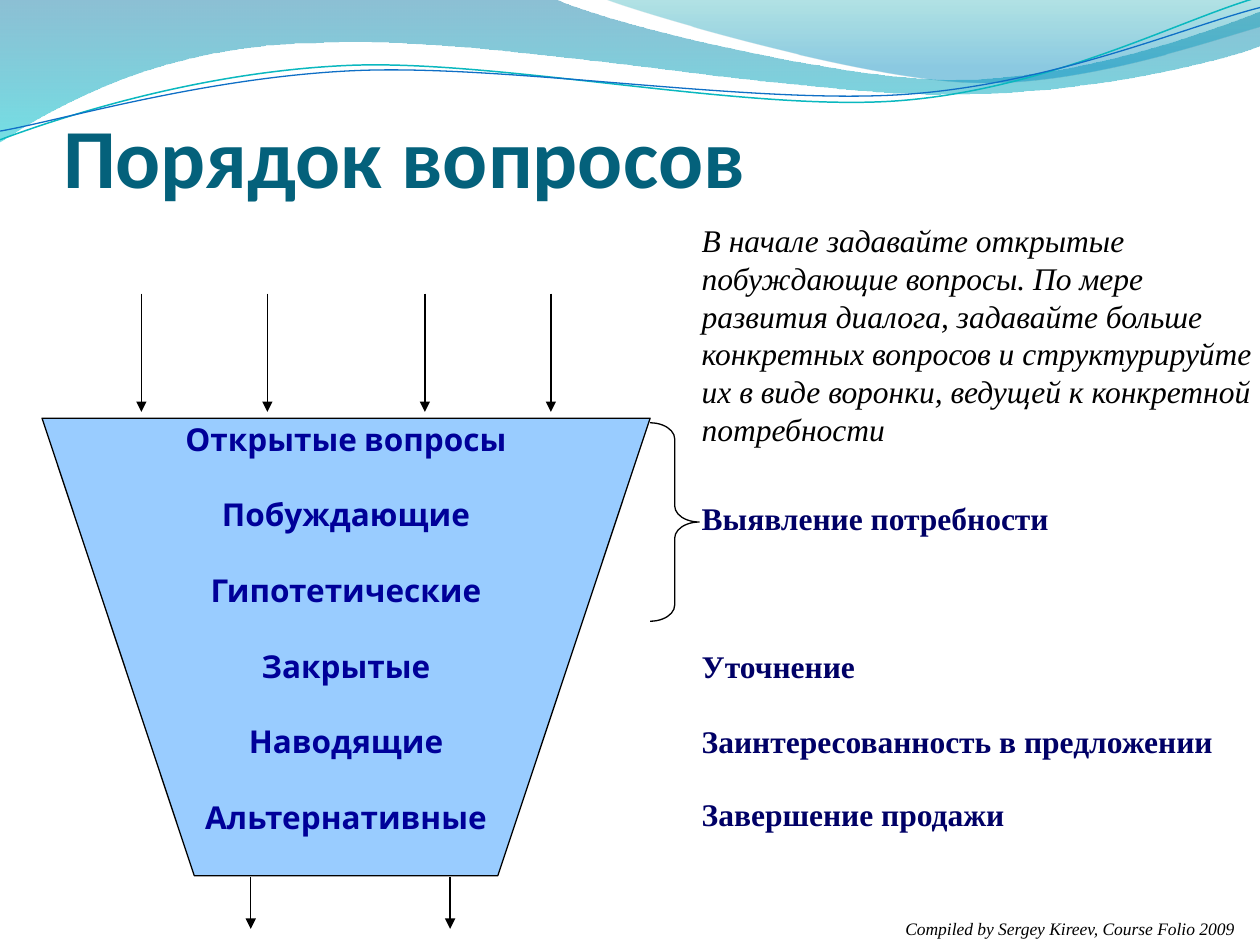
from lxml import etree
from pptx import Presentation
from pptx.dml.color import RGBColor
from pptx.enum.shapes import MSO_CONNECTOR, MSO_SHAPE
from pptx.enum.text import MSO_ANCHOR, MSO_AUTO_SIZE, PP_ALIGN
from pptx.oxml.ns import qn
from pptx.util import Pt

LINE = MSO_CONNECTOR.STRAIGHT
BRACE = MSO_SHAPE.RIGHT_BRACE
TOP, BOTTOM = MSO_ANCHOR.TOP, MSO_ANCHOR.BOTTOM
SERIF = "Times New Roman"
BLACK, NAVY = "000000", "000066"

# Content
TITLE = "Порядок вопросов"
STEPS = ["Открытые вопросы", "Побуждающие", "Гипотетические",
         "Закрытые", "Наводящие", "Альтернативные"]
INTRO = ("В начале задавайте открытые побуждающие вопросы. По мере развития "
         "диалога, задавайте больше конкретных вопросов и структурируйте их "
         "в виде воронки, ведущей к конкретной потребности")
CREDIT = "Compiled by Sergey Kireev, Course Folio 2009"
STAGES = [("Выявление потребности", 281.5), ("Уточнение", 366.3),
          ("Заинтересованность в предложении", 409),
          ("Завершение продажи", 450.7)]

# Waves: two numbers are a corner, six are a Bezier curve
BANDS = [
    ([(0, -0.7), (316.8, -0.7), (342.7, 12.2, 478.1, 45.4, 545.8, 45.4),
      (614.2, 45.4, 689.8, 18.7, 720, 6.5), (720.7, 25.9),
      (707.8, 31.7, 626.4, 54.7, 537.1, 54),
      (447.8, 54, 275, 20.2, 185, 24.5), (92.9, 25.2, 33.1, 59.8, -0.7, 81.4)],
     [(0, "0074A1", 45), (100, "00C6CF", 55)]),
    ([(344.9, -0.7), (366.5, 7.9, 491, 44.6, 553.7, 46.8),
      (616.3, 49.7, 691.9, 23, 720, 15.1), (720, 0)],
     [(0, "00A1A9", 30), (80, "008BBF", 45)]),
]
CURVES = [
    ([(0, 79.9), (34.6, 67, 113.8, 41, 199.4, 37.4),
      (284.4, 33.8, 427, 64.1, 513.4, 57.6),
      (599.8, 51.1, 675.4, 10.8, 718.6, -1.4)], "0AB8BF", 0.85),
    ([(0, 74.9), (33.8, 69.1, 118.1, 43.9, 203.8, 40.3),
      (290.2, 36.7, 429.8, 59.8, 516.2, 54),
      (601.9, 48.2, 677.5, 15.1, 720, 4.3)], "0F6FC6", 0.75),
]

# Funnel and its arrows: x places, then start and end height
FUNNEL = [(24, 239), (111, 500.4), (284.5, 500.4), (371.5, 239)]
FLOWS = [((80.8, 152.8, 242.8, 314.8), 167.8, 235.4),
         ((143.3, 257.2), 501.1, 530.8)]
PITCH = 21.6


def color(code):
    return RGBColor.from_string(code)


def outline(shapes, path, close=True):
    """Draw the corners, then bend the sides that are curves."""
    ends = [(Pt(seg[-2]), Pt(seg[-1])) for seg in path]
    pen = shapes.build_freeform(*ends[0])
    pen.add_line_segments(ends[1:], close=close)
    shape = pen.convert_to_shape()
    shape.shadow.inherit = False
    sides = list(shape._element.iter(qn("a:lnTo")))
    for side, seg in zip(sides, path[1:]):
        if len(seg) == 6:
            side.tag = qn("a:cubicBezTo")
            side.clear()
            for x, y in zip(seg[::2], seg[1::2]):
                knot = etree.SubElement(side, qn("a:pt"))
                knot.set("x", str(Pt(x) - shape.left))
                knot.set("y", str(Pt(y) - shape.top))
    return shape


def stroke(shape, code=BLACK, width=0.75):
    shape.line.color.rgb = color(code)
    shape.line.width = Pt(width)


def shade(shape, stops):
    shape.fill.gradient()
    shape.fill.gradient_angle = 270
    for stop, (_, code, _) in zip(shape.fill.gradient_stops, stops):
        stop.color.rgb = color(code)
    marks = shape._element.spPr.iter(qn("a:gs"))
    for mark, (pos, _, alpha) in zip(marks, stops):
        mark.set("pos", str(pos * 1000))
        etree.SubElement(mark[0], qn("a:alpha")).set("val", str(alpha * 1000))


def style(par, face, size, code, bold=False, italic=False):
    font = par.font
    font.name, font.size = face, Pt(size)
    font.bold, font.italic = bold, italic
    font.color.rgb = color(code)


def label(shapes, text, box, size=18, code=BLACK, bold=False, italic=False):
    frame = shapes.add_textbox(*map(Pt, box)).text_frame
    frame.word_wrap = True
    frame.text = text
    style(frame.paragraphs[0], SERIF, size, code, bold, italic)


def arrow(shapes, x, top, end):
    line = shapes.add_connector(LINE, Pt(x), Pt(top), Pt(x), Pt(end))
    stroke(line)
    etree.SubElement(line.line._get_or_add_ln(),
                     qn("a:tailEnd")).set("type", "triangle")
    etree.SubElement(line._element.spPr, qn("a:effectLst"))


def main():
    deck = Presentation()
    deck.slide_width, deck.slide_height = Pt(720), Pt(540)
    slide = deck.slides.add_slide(deck.slide_layouts[5])
    shapes = slide.shapes

    # Waves
    for path, stops in BANDS:
        band = outline(shapes, path)
        shade(band, stops)
        band.line.fill.background()
    for path, code, width in CURVES:
        curve = outline(shapes, path, close=False)
        curve.fill.background()
        stroke(curve, code, width)

    # Title
    title = shapes.title
    title.left, title.top, title.width, title.height = map(
        Pt, (36, 49, 648, 68.4))
    frame = title.text_frame
    frame.text = TITLE
    frame.auto_size = MSO_AUTO_SIZE.NONE
    frame.vertical_anchor = BOTTOM
    frame.margin_left = frame.margin_right = frame.margin_bottom = 0
    frame.paragraphs[0].alignment = PP_ALIGN.LEFT
    style(frame.paragraphs[0], "Calibri", 48, "04617B", bold=True)

    # Funnel
    funnel = outline(shapes, FUNNEL)
    funnel.fill.solid()
    funnel.fill.fore_color.rgb = color("99CCFF")
    stroke(funnel)
    frame = funnel.text_frame
    frame.word_wrap = False
    frame.vertical_anchor = TOP
    frame.margin_top = Pt(0.9)
    for i, step in enumerate(STEPS):
        par = frame.add_paragraph() if i else frame.paragraphs[0]
        par.text = step
        par.alignment = PP_ALIGN.CENTER
        par.line_spacing = Pt(PITCH)
        par.space_before = Pt(PITCH if i else 0)
        style(par, "Cabin", 18, "000099", bold=True)

    # Arrows in and out
    for places, top, end in FLOWS:
        for x in places:
            arrow(shapes, x, top, end)

    # Brace and stages
    brace = shapes.add_shape(BRACE, *map(Pt, (371.5, 241.6, 28.1, 113.4)))
    brace.shadow.inherit = False
    brace.adjustments[0], brace.adjustments[1] = 0.33, 0.5
    brace.fill.background()
    stroke(brace)
    for text, top in STAGES:
        label(shapes, text, (393.9, top, 317.5, 28.8), code=NAVY, bold=True)

    # Intro and credit
    label(shapes, INTRO, (393.9, 122.8, 334.8, 136.8), italic=True)
    label(shapes, CREDIT, (510.2, 520.9, 209.8, 19.4), size=10, italic=True)

    deck.save("out.pptx")


if __name__ == "__main__":
    main()
